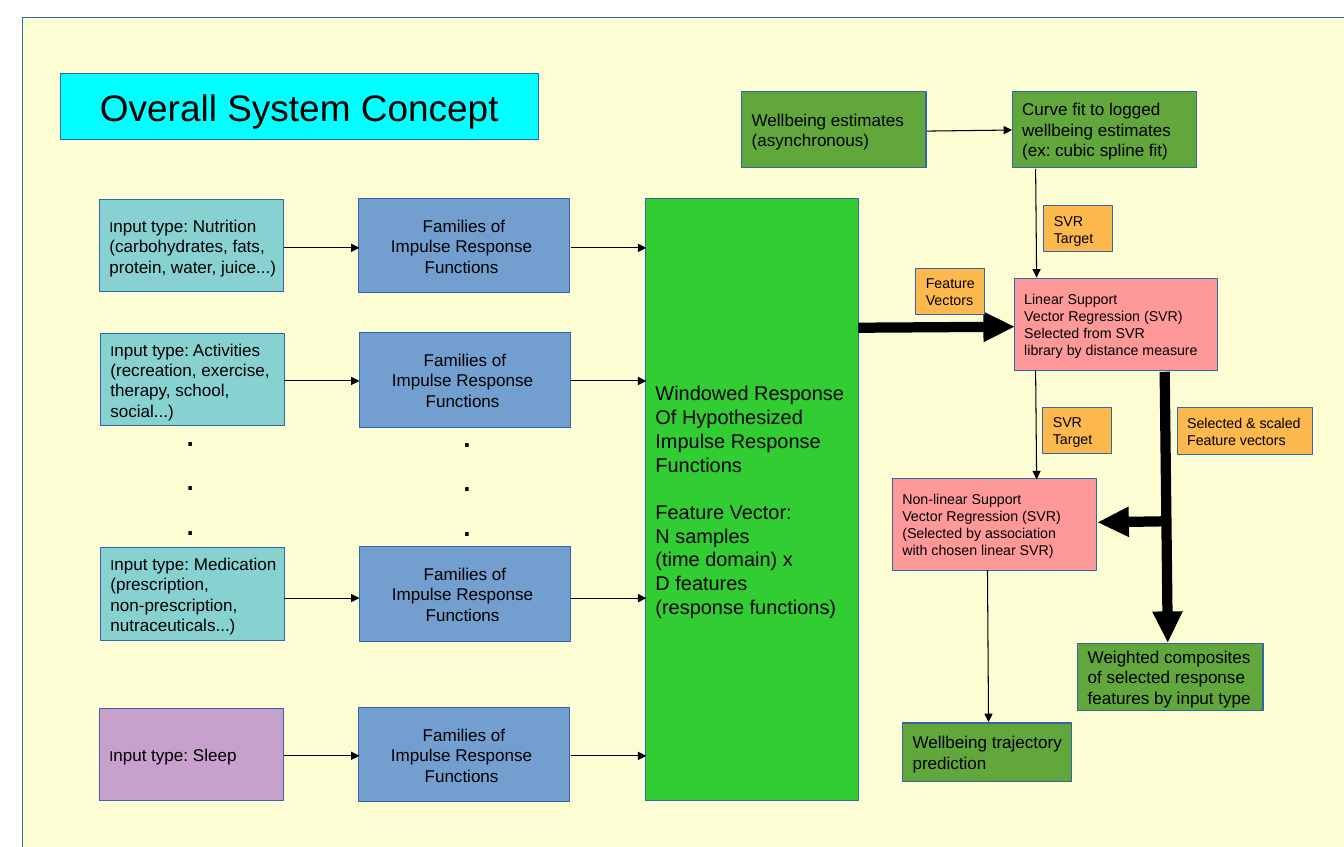
from lxml import etree
from pptx import Presentation
from pptx import util as u
from pptx.dml import color
from pptx.enum import shapes, text
from pptx.oxml import ns

COLORS = {
    "panel": "FDFDD4", "title": "00FFFF", "window": "32CD32", "wellbeing": "62A73B",
    "svr": "FF9999", "family": "729FCF", "input": "87D1D1", "sleep": "C7A0CB",
    "label": "FDB94D", "border": "3465A4", "ink": "000000",
}
RGB = {name: color.RGBColor.from_string(value) for name, value in COLORS.items()}
LEFT, CENTER = text.PP_ALIGN.LEFT, text.PP_ALIGN.CENTER

prs = Presentation()
prs.slide_width, prs.slide_height = u.Inches(13.12), u.Inches(8.27)
s = prs.slides.add_slide(prs.slide_layouts[5])


def box(at, fill, lines=(), size=12, align=LEFT, sp=None):
    """Draw a filled box, or format the given placeholder as one."""
    if sp is None:
        sp = s.shapes.add_shape(shapes.MSO_SHAPE.RECTANGLE, 0, 0, 0, 0)
        sp.shadow.inherit = False
    for name, value in zip(("left", "top", "width", "height"), at):
        setattr(sp, name, u.Inches(value))
    sp.fill.solid()
    sp.fill.fore_color.rgb = RGB[fill]
    sp.line.color.rgb = RGB["border"]
    sp.line.width = u.Pt(0.75)
    tf = sp.text_frame
    frame = {"word_wrap": False, "auto_size": text.MSO_AUTO_SIZE.NONE,
             "vertical_anchor": text.MSO_ANCHOR.MIDDLE}
    for name, value in frame.items():
        setattr(tf, name, value)
    for i, line in enumerate(lines):
        p = tf.add_paragraph() if i else tf.paragraphs[0]
        p.alignment = align
        # The initial letter of an input type is smaller than the rest
        parts = [("I", 10), (line[1:], size)] if line.startswith("Input") else [(line, size)]
        for part, points in parts:
            r = p.add_run()
            r.text = part
            for name, value in {"name": "Arial", "size": u.Pt(points)}.items():
                setattr(r.font, name, value)
            r.font.color.rgb = RGB["ink"]
    return sp


def arrow(x1, y1, x2, y2, width=0.75):
    c = s.shapes.add_connector(shapes.MSO_CONNECTOR.STRAIGHT,
                               *(u.Inches(v) for v in (x1, y1, x2, y2)))
    c.line.color.rgb = RGB["ink"]
    c.line.width = u.Pt(width)
    etree.SubElement(c.line._get_or_add_ln(), ns.qn("a:tailEnd"), type="triangle")
    etree.SubElement(c._element.spPr, ns.qn("a:effectLst"))


# Background panel behind the title
panel = box((0.22, 0.17, 13.65, 8.12), "panel")
s.shapes._spTree.insert(2, panel._element)
box((0.59, 0.72, 4.67, 0.64), "title", ["Overall System Concept"], 26, CENTER, s.shapes.title)

# Windowed response
window = box((6.3, 1.94, 2.08, 5.88), "window", [
    "Windowed Response", "Of Hypothesized", "Impulse Response", "Functions",
    "Feature Vector:", "N samples", "(time domain) x", "D features",
    "(response functions)"], 14)
window.text_frame.paragraphs[4].space_before = u.Pt(16)

# Input rows: left, top, arrow height, fill, text
rows = [
    (0.97, 1.94, 2.42, "input",
     ["Input type: Nutrition", "(carbohydrates, fats,", "protein, water, juice...)"]),
    (0.98, 3.25, 3.72, "input",
     ["Input type: Activities", "(recreation, exercise,", "therapy, school,", "social...)"]),
    (0.98, 5.34, 5.84, "input",
     ["Input type: Medication", "(prescription,", "non-prescription,", "nutraceuticals...)"]),
    (0.97, 6.91, 7.38, "sleep", ["Input type: Sleep"]),
]
for left, top, y, fill, lines in rows:
    box((left, top + 0.01, 1.8, 0.9), fill, lines)
    box((left + 2.53, top, 2.06, 0.92), "family",
        ["Families of", "Impulse Response ", "Functions "], align=CENTER)
    for x in (2.77, 5.57):
        arrow(x, y, x + 0.74, y)

# Dots between the rows
for left, top in ((1.71, 3.95), (4.41, 3.96)):
    tf = s.shapes.add_textbox(*(u.Inches(v) for v in (left, top, 0.3, 1.31))).text_frame
    tf.word_wrap = True
    for i in range(3):
        p = tf.add_paragraph() if i else tf.paragraphs[0]
        r = p.add_run()
        r.text = "."
        for name, value in {"name": "Arial", "size": u.Pt(26)}.items():
            setattr(r.font, name, value)
        r.font.color.rgb = RGB["ink"]

# Wellbeing boxes
for at, lines in [
    ((7.24, 0.89, 1.8, 0.75), ["Wellbeing estimates", "(asynchronous)"]),
    ((9.88, 0.89, 1.8, 0.75),
     ["Curve fit to logged", "wellbeing estimates", "(ex: cubic spline fit)"]),
    ((8.81, 7.06, 1.65, 0.57), ["Wellbeing trajectory", "prediction"]),
    ((10.52, 6.28, 1.81, 0.66),
     ["Weighted composites", "of selected response", "features by input type"]),
]:
    box(at, "wellbeing", lines)

# Support vector regression boxes
for left, top, lines in [
    (9.9, 2.72, ["Linear Support", "Vector Regression (SVR)",
                 "Selected from SVR", "library by distance measure"]),
    (8.71, 4.67, ["Non-linear Support", "Vector Regression (SVR)",
                  "(Selected by association", "with chosen linear SVR)"]),
]:
    box((left, top, 1.99, 0.9), "svr", lines, 10)

# Thin and thick arrows of the regression part
for ends in [(9.05, 1.28, 9.88, 1.27), (10.11, 1.65, 10.12, 2.71),
             (10.11, 3.62, 10.12, 4.68), (9.64, 5.57, 9.65, 7.05)]:
    arrow(*ends)
for ends in [(8.38, 3.2, 9.9, 3.19), (11.37, 3.63, 11.4, 6.27), (11.38, 5.09, 10.72, 5.1)]:
    arrow(*ends, width=7.2)

# Arrow labels
for at, lines in [
    ((8.94, 2.62, 0.67, 0.45), ["Feature", "Vectors"]),
    ((10.19, 2.01, 0.67, 0.45), ["SVR", "Target"]),
    ((10.18, 3.98, 0.67, 0.45), ["SVR", "Target"]),
    ((11.49, 3.98, 1.32, 0.46), ["Selected & scaled", "Feature vectors"]),
]:
    box(at, "label", lines, 10)

prs.save("out.pptx")
